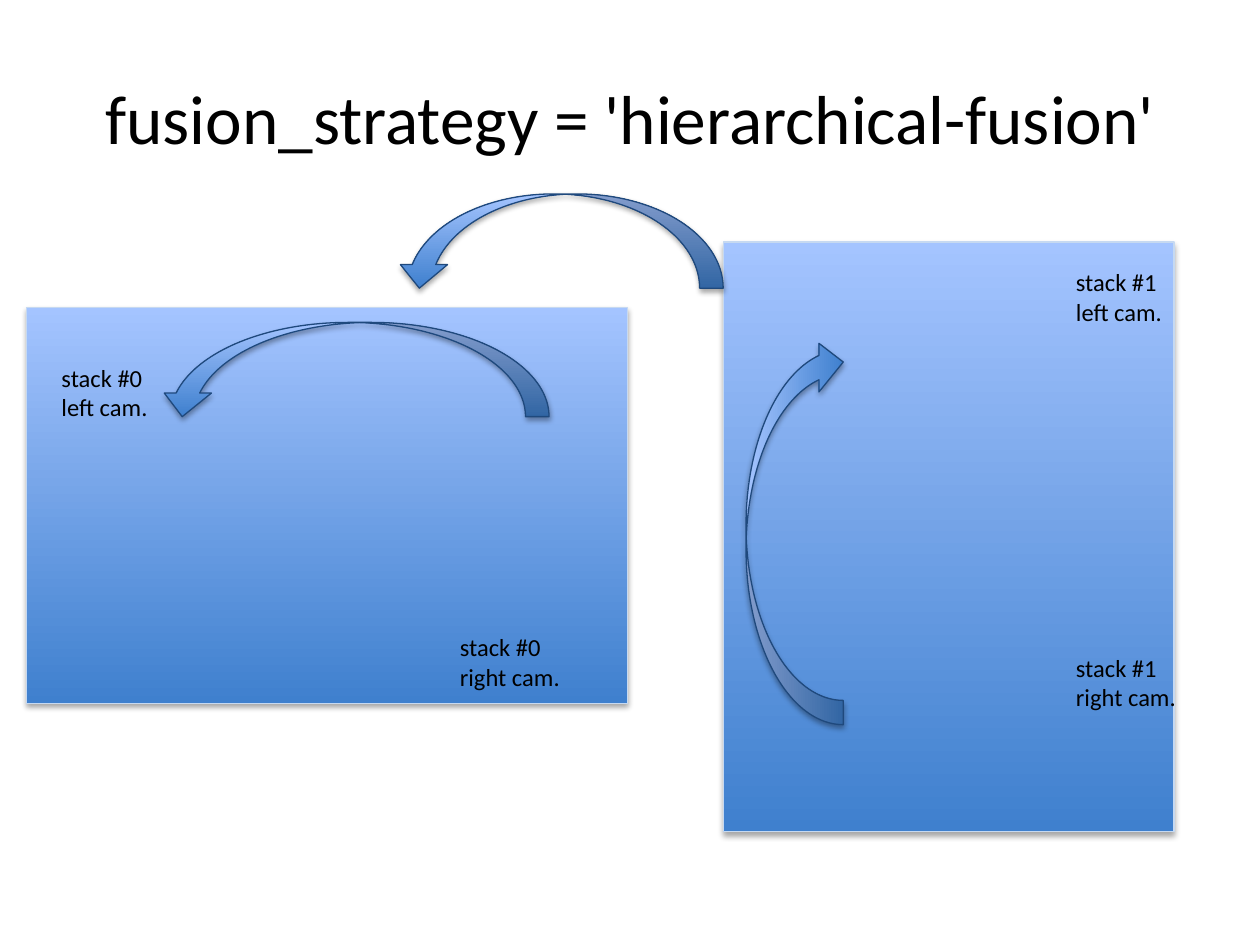
import pptx
import pptx.dml.color
import pptx.enum.shapes
import pptx.enum.text
import pptx.oxml
import pptx.oxml.ns
import pptx.util
from pptx.util import Cm

# Content: boxes are left, top, width, height in centimetres
TITLE = ("fusion_strategy = 'hierarchical-fusion'", (1.27, 0.76, 22.86, 3.18))
STACKS = [(14.58, 4.88, 9.09, 11.89), (0.53, 6.2, 12.12, 7.98)]
ARROWS = [  # box, rotation, flips
    ((3.2, 6.5, 7.87, 1.9), 0, ("flipH",)),
    ((12.12, 9.73, 7.8, 1.96), 90, ("flipH", "flipV")),
    ((7.98, 3.91, 6.6, 1.9), 0, ("flipH",)),
]
LABELS = [  # lines, left, top
    (("stack #1", "right cam."), 21.44, 13.03),
    (("stack #1", "left cam."), 21.44, 5.26),
    (("stack #0", "left cam."), 0.99, 7.19),
    (("stack #0", "right cam."), 9.02, 12.62),
]
LABEL_SIZE = (3.63, 1.45)

THEME = {
    "font": "Calibri",
    "text": "000000",
    "title_size": 39.6,
    "label_size": 14,
    "gradient": ("3F80CE", "A4C4FF"),
    "stack_line": "C6D9F1",
    "arrow_line": "1F497D",
    "line_width": 0.75,
}
SHADOW = (
    '<a:effectLst xmlns:a="http://schemas.openxmlformats.org/drawingml/2006/main">'
    '<a:outerShdw blurRad="40000" dist="23000" dir="5400000" rotWithShape="0">'
    '<a:srgbClr val="000000"><a:alpha val="35000"/></a:srgbClr>'
    "</a:outerShdw></a:effectLst>"
)


def color(name):
    return pptx.dml.color.RGBColor.from_string(name)


def write(paragraph, text, size):
    paragraph.text = text
    font = paragraph.runs[0].font
    formats = {"name": THEME["font"], "size": pptx.util.Pt(size)}
    for name, value in formats.items():
        setattr(font, name, value)
    font.color.rgb = color(THEME["text"])


def add_gradient_shape(slide, kind, box, line_color):
    shape = slide.shapes.add_shape(kind, *map(Cm, box))
    shape.fill.gradient()
    shape.fill.gradient_angle = 90
    for stop, name in zip(shape.fill.gradient_stops, THEME["gradient"]):
        stop.color.rgb = color(name)
    shape.line.color.rgb = color(line_color)
    shape.line.width = pptx.util.Pt(THEME["line_width"])
    shape._element.spPr.append(pptx.oxml.parse_xml(SHADOW))
    return shape


def main():
    presentation = pptx.Presentation()
    presentation.slide_width, presentation.slide_height = Cm(25.4), Cm(19.05)
    slide = presentation.slides.add_slide(presentation.slide_layouts[5])
    kinds = pptx.enum.shapes.MSO_SHAPE

    # Camera stacks
    for box in STACKS:
        add_gradient_shape(slide, kinds.RECTANGLE, box, THEME["stack_line"])

    # Fusion arrows
    for box, rotation, flips in ARROWS:
        arrow = add_gradient_shape(
            slide, kinds.CURVED_DOWN_ARROW, box, THEME["arrow_line"])
        arrow.rotation = rotation
        transform = arrow._element.spPr.find(pptx.oxml.ns.qn("a:xfrm"))
        for flip in flips:
            transform.set(flip, "1")

    # Title
    title = slide.shapes.title
    text, box = TITLE
    for name, value in zip(("left", "top", "width", "height"), box):
        setattr(title, name, Cm(value))
    title.text_frame.vertical_anchor = pptx.enum.text.MSO_ANCHOR.MIDDLE
    title.text_frame.auto_size = pptx.enum.text.MSO_AUTO_SIZE.NONE
    paragraph = title.text_frame.paragraphs[0]
    paragraph.alignment = pptx.enum.text.PP_ALIGN.CENTER
    write(paragraph, text, THEME["title_size"])

    # Camera labels
    for lines, left, top in LABELS:
        frame = slide.shapes.add_textbox(
            *map(Cm, (left, top, *LABEL_SIZE))).text_frame
        frame.word_wrap = True
        frame.auto_size = pptx.enum.text.MSO_AUTO_SIZE.SHAPE_TO_FIT_TEXT
        for index, line in enumerate(lines):
            paragraph = frame.add_paragraph() if index else frame.paragraphs[0]
            write(paragraph, line, THEME["label_size"])

    presentation.save("out.pptx")


if __name__ == "__main__":
    main()
